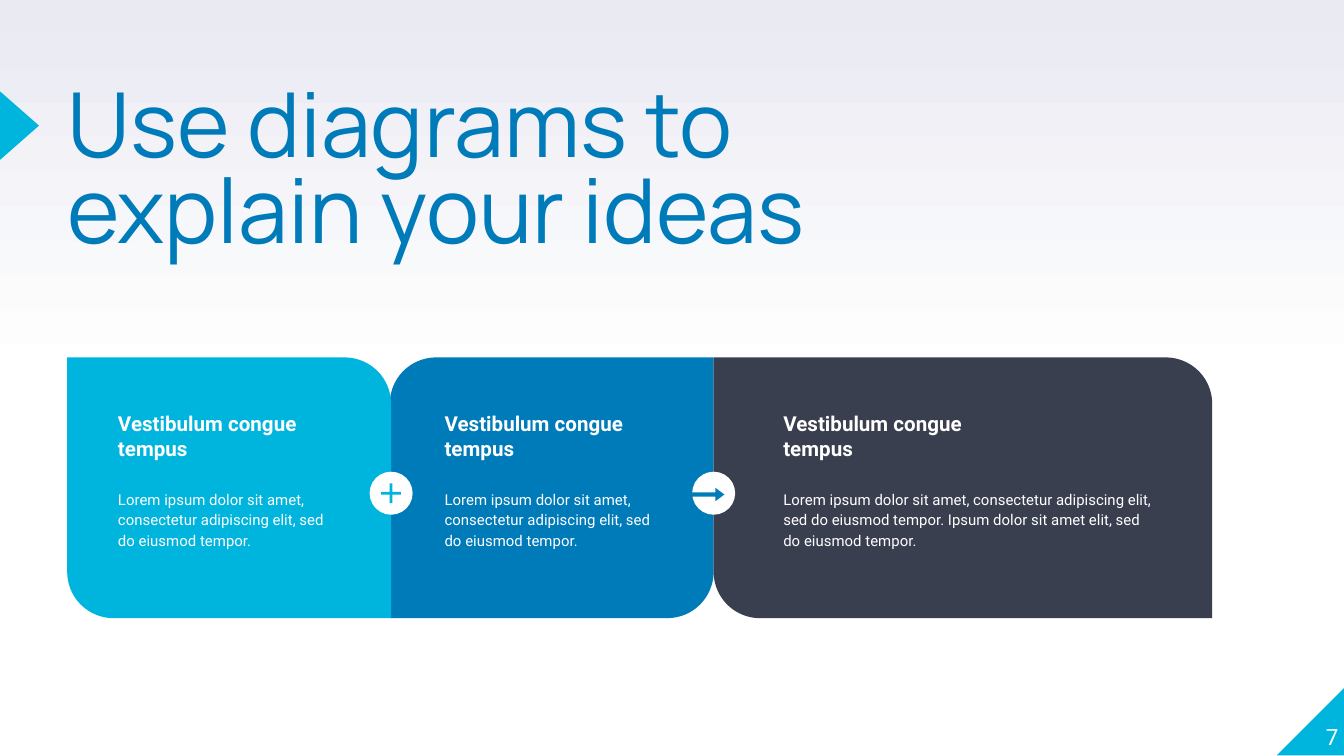
import copy
from dataclasses import dataclass

import pptx
import pptx.dml.color
import pptx.enum.shapes
import pptx.enum.text
import pptx.oxml.ns
import pptx.util

Inches = pptx.util.Inches
Shape = pptx.enum.shapes.MSO_SHAPE
Align = pptx.enum.text.PP_ALIGN
Anchor = pptx.enum.text.MSO_ANCHOR


@dataclass(frozen=True)
class Theme:
    cyan: str = "00B5DD"
    blue: str = "007BB9"
    dark: str = "3A3F50"
    white: str = "FFFFFF"
    mist: str = "E9EAF2"
    title_font: str = "Manrope"
    body_font: str = "Roboto"
    title_size: int = 48
    number_size: int = 12
    heading_size: int = 11
    body_size: int = 8


theme = Theme()
rgb = pptx.dml.color.RGBColor.from_string

# A 16:9 page
deck = pptx.Presentation()
deck.slide_width = Inches(10)
deck.slide_height = Inches(10) * 9 // 16
page = deck.slides.add_slide(deck.slide_layouts[5])


def add_filled(kind, left, top, width, height, color, adjustments=()):
    shape = page.shapes.add_shape(
        kind, Inches(left), Inches(top), Inches(width), Inches(height))
    shape.shadow.inherit = False
    shape.fill.solid()
    shape.fill.fore_color.rgb = rgb(color)
    shape.line.fill.background()
    for index, value in enumerate(adjustments):
        shape.adjustments[index] = value
    return shape


def write(box, text, font, size, color, margin=0, anchor=Anchor.TOP, align=Align.LEFT):
    frame = box.text_frame
    frame.word_wrap = True
    frame.auto_size = pptx.enum.text.MSO_AUTO_SIZE.NONE
    frame.vertical_anchor = anchor
    frame.margin_left = frame.margin_right = Inches(margin)
    frame.margin_top = frame.margin_bottom = Inches(margin)
    para = frame.paragraphs[0]
    para.text = text
    para.alignment = align
    para.font.name = font
    para.font.size = pptx.util.Pt(size)
    para.font.color.rgb = rgb(color)
    return para


# Background: white up to the middle, then fading to mist at the top
background = page.background.fill
background.gradient()
background.gradient_angle = 90
for stop, color in zip(background.gradient_stops, (theme.white, theme.mist)):
    stop.color.rgb = rgb(color)
stop_list = page._element.find(".//" + pptx.oxml.ns.qn("a:gsLst"))
middle_stop = copy.deepcopy(stop_list[0])
middle_stop.set("pos", "50000")
stop_list.insert(1, middle_stop)

# Corner and title marker
add_filled(Shape.RIGHT_TRIANGLE, 9.5, 5.11, 0.51, 0.51, theme.cyan).rotation = 270
add_filled(Shape.ISOSCELES_TRIANGLE, -0.11, 0.79, 0.51, 0.29, theme.cyan).rotation = 90

# Title
title = page.shapes.title
title.left, title.top = Inches(0.5), Inches(0.66)
title.width, title.height = Inches(6.17), Inches(1.18)
para = write(title, "Use diagrams to explain your ideas",
             theme.title_font, theme.title_size, theme.blue)
para.line_spacing = 0.8

# Slide number
number = page.shapes.add_textbox(Inches(9.46), Inches(5.07), Inches(0.5), Inches(0.51))
write(number, "7", theme.body_font, theme.number_size, theme.white,
      anchor=Anchor.BOTTOM, align=Align.RIGHT)

# Panels: left, width, colour, rounded corners, text left, text width, heading, body
lorem = "Lorem ipsum dolor sit amet, consectetur adipiscing elit, sed do eiusmod tempor."
heading = "Vestibulum congue tempus"
rising, falling = (0, 0.178), (0.178, 0)
panels = [
    (2.9, 2.41, theme.blue, falling, 3.21, 1.8, heading, lorem),
    (0.5, 2.41, theme.cyan, rising, 0.78, 1.8, heading, lorem),
    (5.31, 3.71, theme.dark, rising, 5.73, 2.99, "Vestibulum congue\ntempus",
     lorem + " Ipsum dolor sit amet elit, sed do eiusmod tempor."),
]
for left, width, color, corners, text_left, text_width, heading_text, body_text in panels:
    add_filled(Shape.ROUND_2_DIAG_RECTANGLE, left, 2.66, width, 1.94, color, corners)

    box = page.shapes.add_textbox(
        Inches(text_left), Inches(2.96), Inches(text_width), Inches(0.57))
    para = write(box, heading_text, theme.body_font, theme.heading_size,
                 theme.white, margin=0.1)
    para.font.bold = True

    box = page.shapes.add_textbox(
        Inches(text_left), Inches(3.53), Inches(text_width), Inches(0.63))
    para = write(box, body_text, theme.body_font, theme.body_size,
                 theme.white, margin=0.1)
    para.line_spacing = 1.15
    para.space_after = pptx.util.Pt(16)

# Badges on the seams between panels
for left in (5.15, 2.75):
    add_filled(Shape.OVAL, left, 3.51, 0.32, 0.32, theme.white)
add_filled(Shape.RIGHT_ARROW, 5.15, 3.63, 0.24, 0.1, theme.blue, (0.32, 0.67))
add_filled(Shape.MATH_PLUS, 2.81, 3.57, 0.2, 0.2, theme.cyan, (0.099,))

deck.save("out.pptx")
